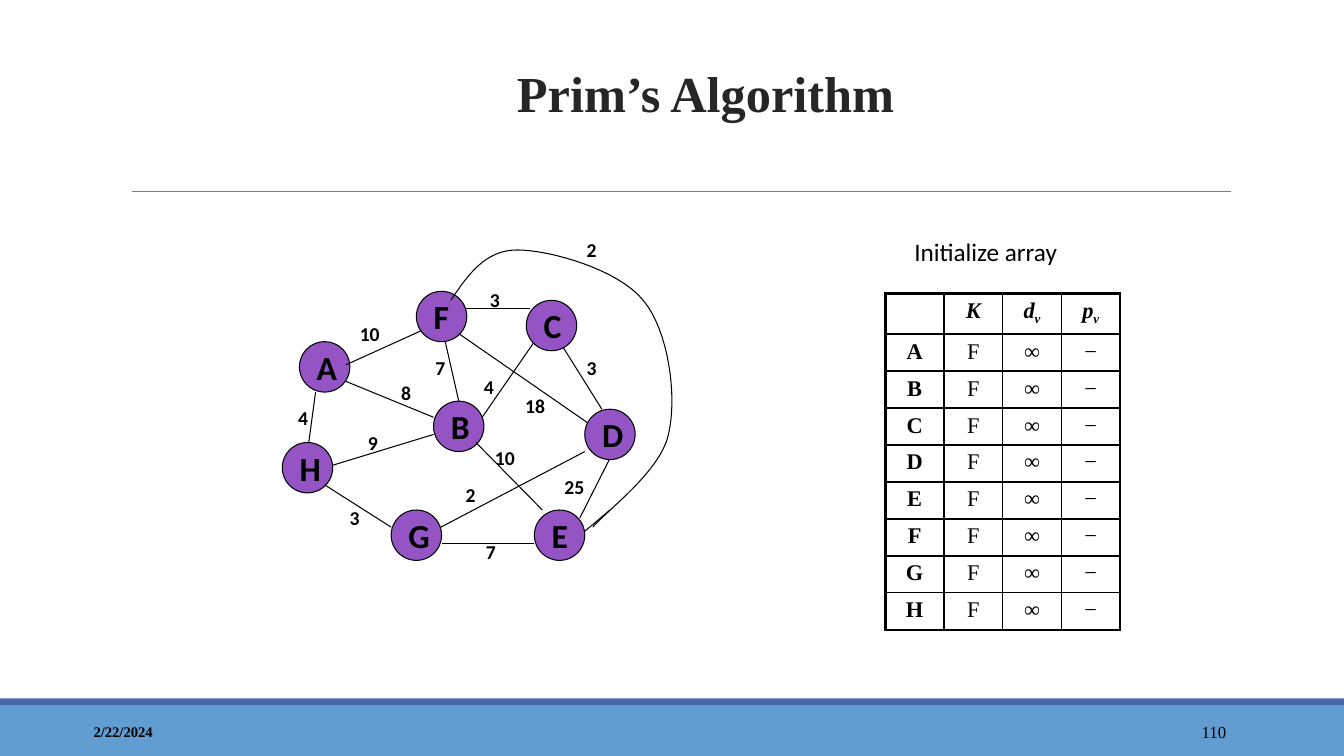
"""Build a slide on Prim's algorithm with a weighted graph and its first array."""
import dataclasses

import lxml.etree
import pptx
import pptx.dml.color
import pptx.enum.shapes
import pptx.enum.text
import pptx.oxml.ns
import pptx.util

Inches = pptx.util.Inches
Align = pptx.enum.text.PP_ALIGN
Anchor = pptx.enum.text.MSO_ANCHOR
Shape = pptx.enum.shapes.MSO_SHAPE


@dataclasses.dataclass(frozen=True)
class Theme:
    ink: str = "000000"
    head: str = "262626"
    rule: str = "7F7F7F"
    band: str = "629DD1"
    strip: str = "4A66AC"
    node: str = "9454C3"
    serif: str = "Times New Roman"
    sans: str = "Calibri"
    title: float = 36
    letter: float = 24
    note: float = 18
    cell: float = 16
    weight: float = 14
    page: float = 12
    date: float = 10.5
    thin: float = 0.75
    grid: float = 1
    frame: float = 2.25


THEME = Theme()
SIDE = 0.5
NODES = {
    "A": (2.97, 3.39), "H": (2.8, 4.39), "B": (4.3, 3.98), "F": (4.13, 2.89),
    "E": (5.3, 5.06), "D": (5.8, 4.06), "C": (5.22, 2.98), "G": (3.88, 5.06),
}
UNDER = [
    (6.17, 4.31, 5.75, 5.14), (4.38, 3.23, 4.55, 3.98), (4.72, 4.23, 5.3, 3.39),
    (5.88, 4.23, 4.55, 3.31), (3.22, 4.64, 4.3, 4.31), (4.22, 5.31, 5.8, 4.48),
    (3.05, 4.48, 3.13, 3.89), (3.3, 3.73, 4.3, 4.14), (4.6, 3.06, 5.26, 3.06),
    (5.55, 3.39, 5.97, 4.06),
]
OVER = [
    (4.72, 4.39, 5.38, 5.06), (5.3, 5.39, 4.38, 5.39), (3.88, 5.23, 3.22, 4.81),
    (3.43, 3.62, 4.18, 3.28), (6.05, 5.06, 5.8, 5.27),
]
WEIGHTS = [
    ("4", 2.86, 3.98), ("25", 5.5, 4.66), ("7", 4.72, 5.31), ("2", 4.52, 4.74),
    ("10", 4.81, 4.37), ("18", 5.11, 3.86), ("3", 5.72, 3.48), ("4", 4.7, 3.67),
    ("3", 4.76, 2.81), ("7", 4.22, 3.48), ("8", 3.88, 3.73), ("9", 3.55, 4.23),
    ("3", 3.37, 4.97), ("10", 3.47, 3.14), ("2", 5.72, 2.31),
]
START = (4.47, 2.98)
BENDS = [
    ((4.64, 2.73), (4.81, 2.48), (5.13, 2.48)),
    ((5.45, 2.48), (6.13, 2.67), (6.38, 2.98)),
    ((6.63, 3.28), (6.72, 3.93), (6.63, 4.31)),
    ((6.55, 4.68), (6.01, 5.07), (5.88, 5.23)),
]
STEPS = 16


def tint(code):
    return pptx.dml.color.RGBColor.from_string(code)


def stroke(line, color, width):
    line.color.rgb = tint(color)
    line.width = pptx.util.Pt(width)


def write(para, text, size, face, color=THEME.ink, bold=False, slant=False):
    run = para.add_run()
    run.text = text
    font = run.font
    font.size, font.name = pptx.util.Pt(size), face
    font.bold, font.italic = bold, slant
    font.color.rgb = tint(color)
    return run


def label(slide, box, text, size, face, color=THEME.ink, bold=False,
          align=Align.LEFT, anchor=Anchor.TOP):
    frame = slide.shapes.add_textbox(*map(Inches, box)).text_frame
    frame.word_wrap = True
    frame.vertical_anchor = anchor
    para = frame.paragraphs[0]
    para.alignment = align
    write(para, text, size, face, color, bold)
    return para


def block(slide, kind, box, color):
    shape = slide.shapes.add_shape(kind, *map(Inches, box))
    shape.shadow.inherit = False
    shape.fill.solid()
    shape.fill.fore_color.rgb = tint(color)
    shape.line.fill.background()
    return shape


def edge(slide, ends, color=THEME.ink):
    kind = pptx.enum.shapes.MSO_CONNECTOR.STRAIGHT
    line = slide.shapes.add_connector(kind, *map(Inches, ends))
    stroke(line.line, color, THEME.thin)
    lxml.etree.SubElement(line._element.spPr, pptx.oxml.ns.qn("a:effectLst"))


def node(slide, name, left, top):
    disc = block(slide, Shape.OVAL, (left, top, SIDE, SIDE), THEME.node)
    stroke(disc.line, THEME.ink, THEME.thin)
    frame = disc.text_frame
    frame.vertical_anchor = Anchor.MIDDLE
    frame.paragraphs[0].alignment = Align.LEFT
    write(frame.paragraphs[0], name, THEME.letter, THEME.sans, bold=True)


def blend(ends, part):
    rest = 1 - part
    shares = (rest ** 3, 3 * rest ** 2 * part, 3 * rest * part ** 2, part ** 3)
    return tuple(Inches(sum(share * value for share, value in zip(shares, axis)))
                 for axis in zip(*ends))


def curve(slide):
    points, last = [], START
    for bend in BENDS:
        points += [blend((last, *bend), step / STEPS) for step in range(1, STEPS + 1)]
        last = bend[-1]
    path = slide.shapes.build_freeform(*map(Inches, START))
    path.add_line_segments(points, close=False)
    shape = path.convert_to_shape()
    shape.shadow.inherit = False
    shape.fill.background()
    stroke(shape.line, THEME.ink, THEME.thin)


def border(cell, side, width):
    tag = pptx.oxml.ns.qn
    line = lxml.etree.SubElement(cell._tc.get_or_add_tcPr(), tag("a:ln" + side),
                                 w=str(pptx.util.Pt(width)))
    fill = lxml.etree.SubElement(line, tag("a:solidFill"))
    lxml.etree.SubElement(fill, tag("a:srgbClr"), val=THEME.ink)


def fill_cell(cell, text, bold, slant):
    para = cell.text_frame.paragraphs[0]
    para.alignment = Align.CENTER
    if not text:
        lxml.etree.SubElement(para._p, pptx.oxml.ns.qn("a:endParaRPr"),
                              sz=str(THEME.cell * 100))
        return
    write(para, text[0], THEME.cell, THEME.serif, bold=bold, slant=slant)
    if text[1:]:
        low = write(para, text[1:], THEME.cell, THEME.serif, bold=bold, slant=slant)
        low.font._element.set("baseline", "-25000")


def array(slide):
    rows = [("", "K", "dv", "pv")] + [(name, "F", "∞", "−") for name in sorted(NODES)]
    tall, wide = len(rows), len(rows[0])
    box = map(Inches, (8.78, 2.91, 2.33, 3.29))
    grid = slide.shapes.add_table(tall, wide, *box).table
    grid.first_row = grid.horz_banding = False
    for r, row in enumerate(rows):
        for c, text in enumerate(row):
            cell = grid.cell(r, c)
            fill_cell(cell, text, r == 0 or c == 0, r == 0)
            outer = {"L": c == 0, "R": c == wide - 1, "T": r == 0, "B": r == tall - 1}
            for side, thick in outer.items():
                border(cell, side, THEME.frame if thick else THEME.grid)
            cell.fill.background()


def graph(slide):
    for ends in UNDER:
        edge(slide, ends)
    for name, spot in NODES.items():
        node(slide, name, *spot)
    for ends in OVER:
        edge(slide, ends)
    curve(slide)
    for text, left, top in WEIGHTS:
        width = 0.33 if len(text) == 1 else 0.52
        label(slide, (left, top, width, 0.33), text, THEME.weight, THEME.sans, bold=True)


def main():
    deck = pptx.Presentation()
    deck.slide_width, deck.slide_height = Inches(13.33), Inches(7.5)
    slide = deck.slides.add_slide(deck.slide_layouts[6])
    block(slide, Shape.RECTANGLE, (0, 7, 13.33, 0.5), THEME.band)
    block(slide, Shape.RECTANGLE, (0, 6.93, 13.33, 0.07), THEME.strip)
    edge(slide, (1.31, 1.9, 12.21, 1.9), THEME.rule)
    label(slide, (0.83, 7.06, 3, 0.4), "2/22/2024", THEME.date, THEME.serif,
          bold=True, anchor=Anchor.MIDDLE)
    label(slide, (10.83, 7.06, 1.43, 0.4), "110", THEME.page, THEME.serif,
          align=Align.RIGHT, anchor=Anchor.MIDDLE)
    title = label(slide, (1.5, 0.21, 11, 1.06), "Prim’s Algorithm", THEME.title,
                  THEME.serif, THEME.head, True, Align.CENTER, Anchor.BOTTOM)
    title.line_spacing = 1.1
    label(slide, (8.97, 2.3, 1.83, 0.43), "Initialize array", THEME.note, THEME.sans)
    array(slide)
    graph(slide)
    deck.save("out.pptx")


if __name__ == "__main__":
    main()
